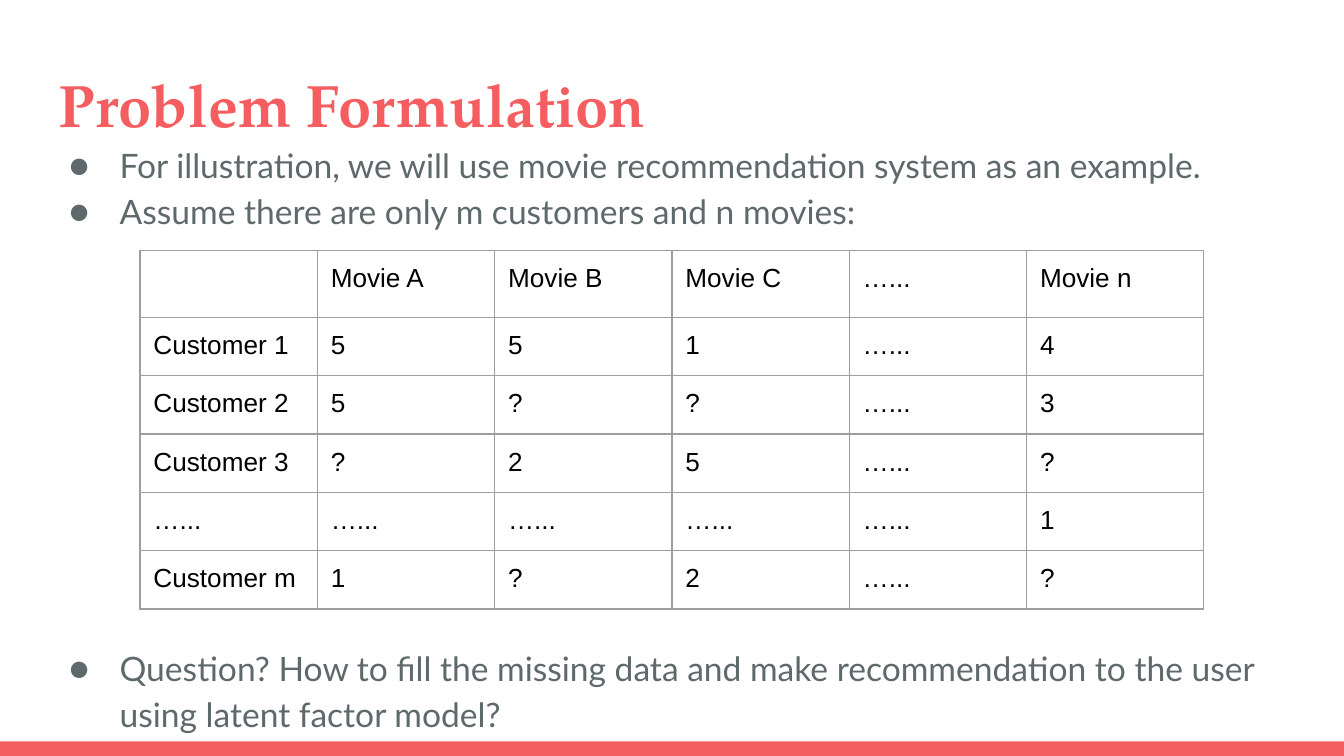
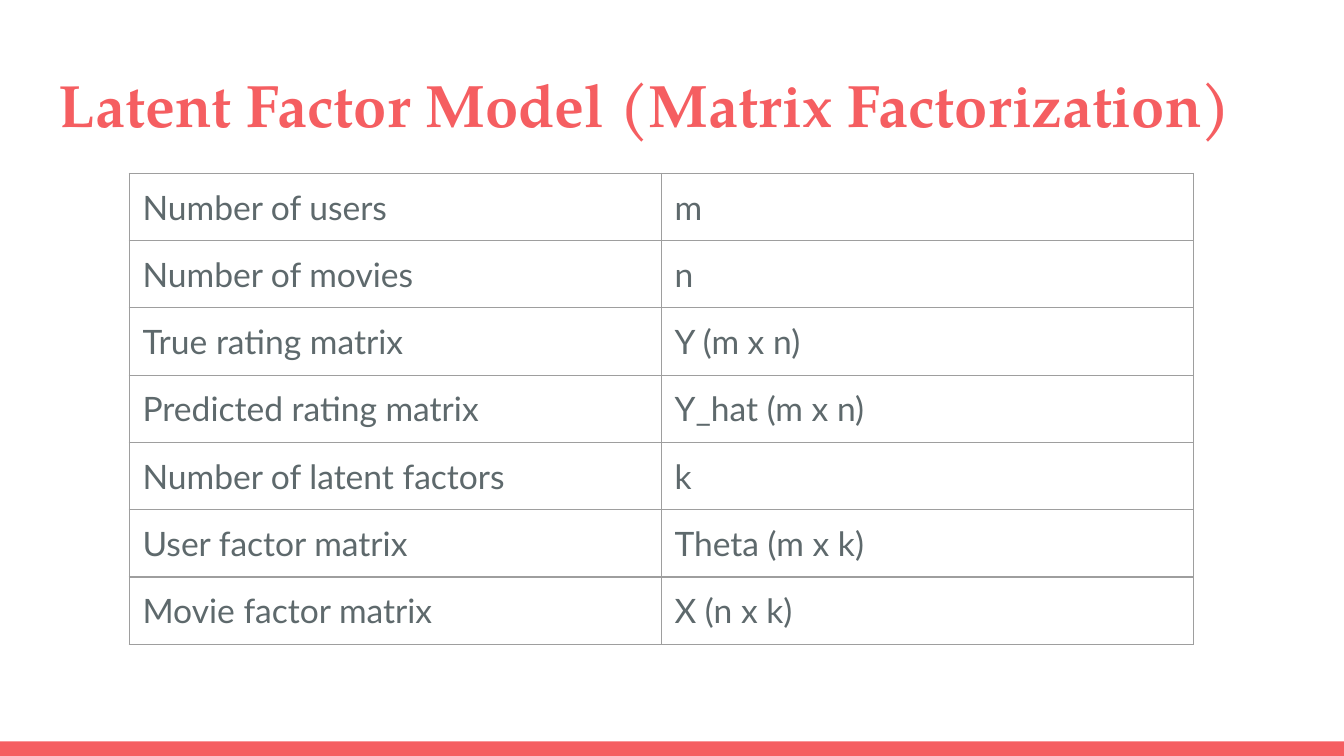
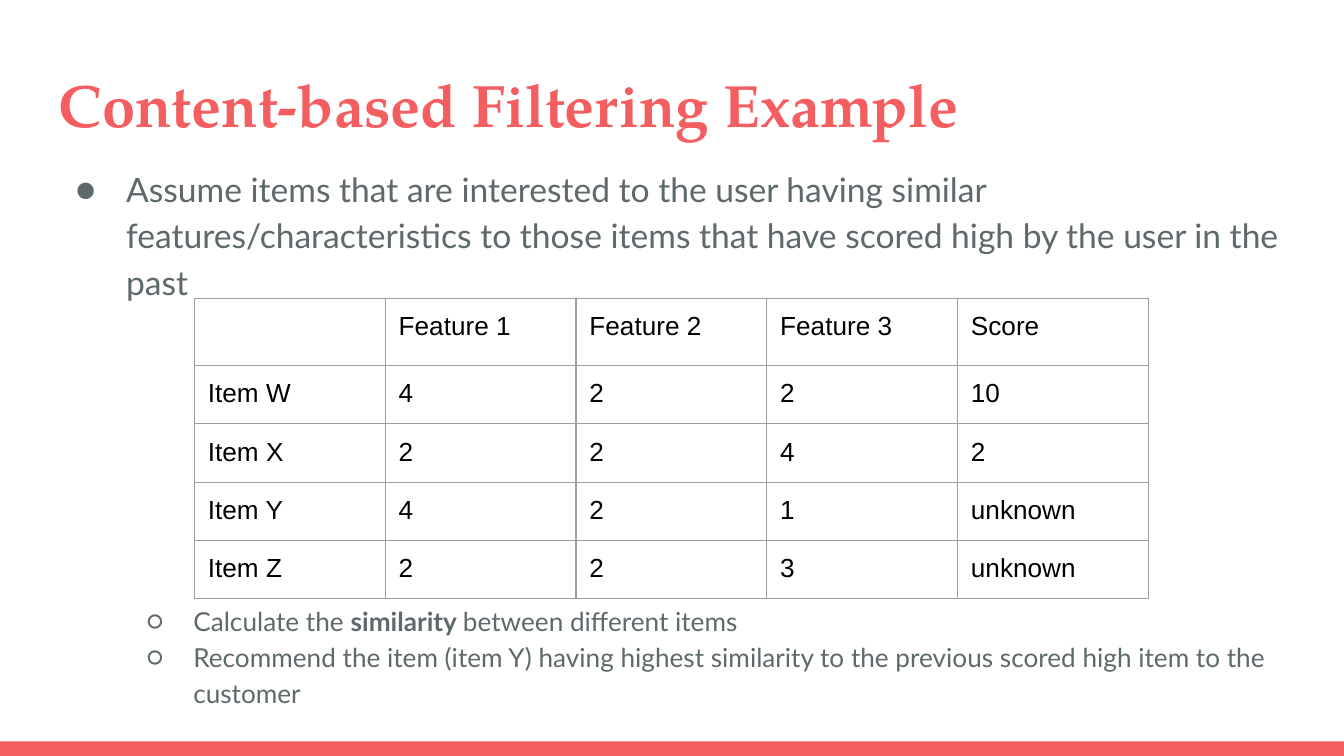
from lxml.etree import SubElement
from pptx import Presentation
from pptx.dml.color import RGBColor
from pptx.enum.shapes import MSO_SHAPE
from pptx.enum.text import MSO_ANCHOR
from pptx.oxml import parse_xml
from pptx.oxml.ns import nsdecls, qn
from pptx.util import Pt

COLORS = {"coral": "F55E61", "slate": "5E696C", "grid": "9E9E9E", "black": "000000"}
TITLE = {"name": "TeX Gyre Pagella", "size": Pt(32), "bold": True, "color": "coral"}
BODY = {"name": "Lato", "size": Pt(18), "bold": False, "color": "slate"}
SUB = {**BODY, "size": Pt(14)}
STRONG = {**SUB, "bold": True}
CELL = {"name": "Arial", "size": Pt(14), "bold": False, "color": "black"}
# Bullet kinds: character, level, left margin and hanging indent
DOT = ("●", 0, 36, -27)
RING = ("○", 1, 72, -25.2)
INSET = Pt(7.2)
DOTS = "…..."


def rgb(name):
    return RGBColor.from_string(COLORS[name])


def add_run(p, text, fmt):
    r = p.add_run()
    r.text = text
    for key, value in fmt.items():
        if key == "color":
            r.font.color.rgb = rgb(value)
        else:
            setattr(r.font, key, value)


def add_box(s, box):
    tf = s.shapes.add_textbox(*map(Pt, box)).text_frame
    tf.word_wrap = True
    for side in ("left", "right", "top", "bottom"):
        setattr(tf, f"margin_{side}", INSET)
    return tf


def add_bullet(p, kind):
    char, p.level, margin, indent = kind
    pPr = p._p.get_or_add_pPr()
    pPr.set("marL", str(Pt(margin)))
    pPr.set("indent", str(Pt(indent)))
    clr = SubElement(pPr, qn("a:buClr"))
    SubElement(clr, qn("a:srgbClr")).set("val", COLORS["slate"])
    SubElement(pPr, qn("a:buFont")).set("typeface", "Lato")
    SubElement(pPr, qn("a:buChar")).set("char", char)


def add_frame(prs, title):
    """Slide with the bottom band and the title."""
    s = prs.slides.add_slide(prs.slide_layouts[6])
    band = s.shapes.add_shape(MSO_SHAPE.RECTANGLE, 0, Pt(397.2), prs.slide_width, Pt(7.8))
    band.shadow.inherit = False
    band.fill.solid()
    band.fill.fore_color.rgb = rgb("coral")
    band.line.fill.background()
    tf = add_box(s, (24.5, 31, 671, 49))
    tf.vertical_anchor = MSO_ANCHOR.MIDDLE
    add_run(tf.paragraphs[0], title, TITLE)
    return s


def add_body(s, box, items):
    """Bulleted text; each item is (bullet kind, space before, runs)."""
    tf = add_box(s, box)
    for i, (kind, before, runs) in enumerate(items):
        p = tf.add_paragraph() if i else tf.paragraphs[0]
        p.line_spacing = 1.15
        p.space_before = Pt(before)
        add_bullet(p, kind)
        for text, fmt in runs:
            add_run(p, text, fmt)


def add_borders(cell):
    tcPr = cell._tc.get_or_add_tcPr()
    for i, side in enumerate("LRTB"):
        tcPr.insert(i, parse_xml(
            f'<a:ln{side} {nsdecls("a")} w="{Pt(0.75)}"><a:solidFill>'
            f'<a:srgbClr val="{COLORS["grid"]}"/></a:solidFill></a:ln{side}>'))


def add_grid(s, left, top, col_w, heights, rows, fmt):
    """Plain bordered table with equal columns."""
    n = len(rows[0])
    tbl = s.shapes.add_table(len(rows), n, Pt(left), Pt(top),
                             Pt(col_w * n), Pt(sum(heights))).table
    tbl.first_row = tbl.horz_banding = False
    for col in tbl.columns:
        col.width = Pt(col_w)
    for row, height, texts in zip(tbl.rows, heights, rows):
        row.height = Pt(height)
        for cell, text in zip(row.cells, texts):
            for side in ("left", "right", "top", "bottom"):
                setattr(cell, f"margin_{side}", INSET)
            cell.fill.background()
            add_borders(cell)
            if text:
                add_run(cell.text_frame.paragraphs[0], text, fmt)


def problem_slide(prs):
    s = add_frame(prs, "Problem Formulation")
    add_body(s, (21, 67, 671, 297), [
        (DOT, 0, [("For illustration, we will use movie recommendation system "
                   "as an example.", BODY)]),
        (DOT, 0, [("Assume there are only m customers and n movies:", BODY)]),
        (DOT, 220, [("Question? How to fill the missing data and make recommendation "
                     "to the user using latent factor model?", BODY)]),
    ])
    ratings = [
        ["", "Movie A", "Movie B", "Movie C", DOTS, "Movie n"],
        ["Customer 1", "5", "5", "1", DOTS, "4"],
        ["Customer 2", "5", "?", "?", DOTS, "3"],
        ["Customer 3", "?", "2", "5", DOTS, "?"],
        [DOTS] * 5 + ["1"],
        ["Customer m", "1", "?", "2", DOTS, "?"],
    ]
    add_grid(s, 75, 134, 95, [34.4] + [30.1] * 5, ratings, CELL)


def model_slide(prs):
    s = add_frame(prs, "Latent Factor Model (Matrix Factorization)")
    symbols = [
        ("Number of users", "m"),
        ("Number of movies", "n"),
        ("True rating matrix", "Y (m x n)"),
        ("Predicted rating matrix", "Y_hat (m x n)"),
        ("Number of latent factors", "k"),
        ("User factor matrix", "Theta (m x k)"),
        ("Movie factor matrix", "X (n x k)"),
    ]
    add_grid(s, 69.2, 92.9, 285, [36] * 7, symbols, BODY)


def filtering_slide(prs):
    s = add_frame(prs, "Content-based Filtering Example")
    add_body(s, (24.5, 80, 671, 269), [
        (DOT, 0, [("Assume items that are interested to the user having similar "
                   "features/characteristics to those items that have scored high "
                   "by the user in the past", BODY)]),
        (RING, 160, [("Calculate the ", SUB), ("similarity ", STRONG),
                     ("between different items", SUB)]),
        (RING, 0, [("Recommend the item (item Y) having highest similarity to the "
                    "previous scored high item to the customer", SUB)]),
    ])
    scores = [
        ["", "Feature 1", "Feature 2", "Feature 3", "Score"],
        ["Item W", "4", "2", "2", "10"],
        ["Item X", "2", "2", "4", "2"],
        ["Item Y", "4", "2", "1", "unknown"],
        ["Item Z", "2", "2", "3", "unknown"],
    ]
    add_grid(s, 104.2, 159.8, 102.2, [34.4] + [30.1] * 4, scores, CELL)


def main():
    prs = Presentation()
    prs.slide_width, prs.slide_height = Pt(720), Pt(405)
    for build in (problem_slide, model_slide, filtering_slide):
        build(prs)
    prs.save("out.pptx")


if __name__ == "__main__":
    main()
